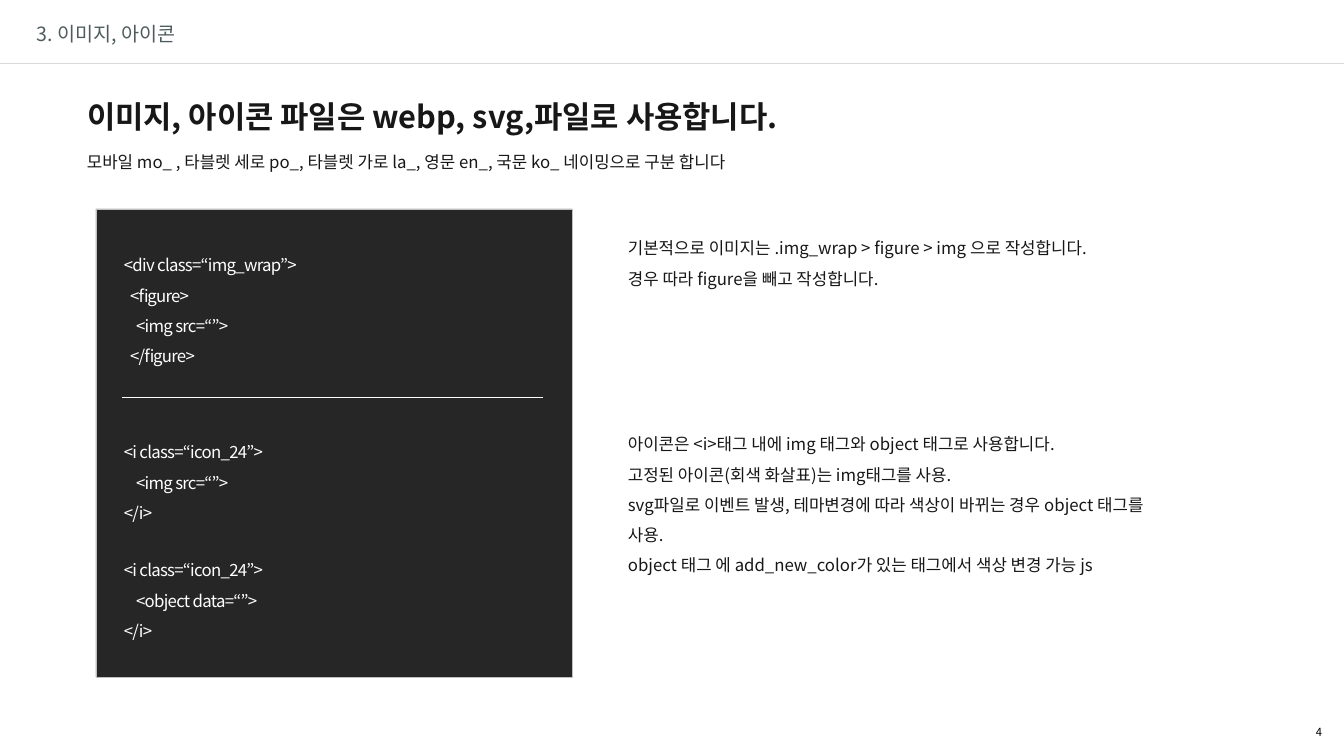
import pptx
import pptx.util
import pptx.dml.color
import pptx.enum.shapes
import pptx.enum.text
import pptx.oxml.ns
import lxml.etree

PX = 914400 / 100.8
FONT = "Noto Sans CJK KR"
INK = "181717"
WHITE = "FFFFFF"
ALIGN = pptx.enum.text.PP_ALIGN
ANCHOR = pptx.enum.text.MSO_ANCHOR
qn = pptx.oxml.ns.qn

FIGURE = """<div class=“img_wrap”>
  <figure>
    <img src=“”>
  </figure>"""
ICON = """<i class=“icon_24”>
    <img src=“”>
</i>"""
OBJECT = """<i class=“icon_24”>
    <object data=“”>
</i>"""
IMAGE_NOTE = ("기본적으로 이미지는 .img_wrap > figure > img 으로 작성합니다.\v"
              "경우 따라 figure을 빼고 작성합니다.")
ICON_NOTE = """아이콘은 <i>태그 내에 img 태그와 object 태그로 사용합니다.
고정된 아이콘(회색 화살표)는 img태그를 사용.
svg파일로 이벤트 발생, 테마변경에 따라 색상이 바뀌는 경우 object 태그를 사용.
object 태그 에 add_new_color가 있는 태그에서 색상 변경 가능 js"""


def emu(*sizes):
    return [pptx.util.Emu(round(n * PX)) for n in sizes]


def rgb(code):
    return pptx.dml.color.RGBColor.from_string(code)


def write(shape, text, size, color, bold=False, gap=None, track=0,
          align=ALIGN.LEFT, anchor=ANCHOR.TOP):
    """Fill a shape with text; track is letter spacing in 1/100 pt."""
    frame = shape.text_frame
    frame.text = text
    frame.word_wrap = True
    frame.auto_size = pptx.enum.text.MSO_AUTO_SIZE.NONE
    frame.vertical_anchor = anchor
    for para in frame.paragraphs:
        para.alignment = align
        para.line_spacing = gap
        font = para.font
        font.name = FONT
        font.size = pptx.util.Pt(size)
        font.bold = bold
        font.color.rgb = rgb(color)
        props = para._p.pPr.find(qn("a:defRPr"))
        props.set("spc", str(track))
        east = lxml.etree.Element(qn("a:ea"), typeface=FONT)
        props.find(qn("a:latin")).addnext(east)


def label(slide, box, text, size, color, **style):
    write(slide.shapes.add_textbox(*emu(*box)), text, size, color, **style)


def rule(slide, left, right, y, color):
    """Draw a thin horizontal line."""
    kind = pptx.enum.shapes.MSO_CONNECTOR.STRAIGHT
    line = slide.shapes.add_connector(kind, *emu(left, y, right, y))
    line.line.color.rgb = rgb(color)
    line.line.width = pptx.util.Pt(0.5)
    lxml.etree.SubElement(line._element.spPr, qn("a:effectLst"))


def panel(slide, box):
    kind = pptx.enum.shapes.MSO_SHAPE.RECTANGLE
    rect = slide.shapes.add_shape(kind, *emu(*box))
    rect.shadow.inherit = False
    rect.fill.solid()
    rect.fill.fore_color.rgb = rgb("262626")
    rect.line.color.rgb = rgb("BFBFBF")
    rect.line.width = pptx.util.Pt(0.25)


def head(slide, box, text):
    title = slide.shapes.title
    title.left, title.top, title.width, title.height = emu(*box)
    write(title, text, 22, INK, bold=True)


def main():
    deck = pptx.Presentation()
    deck.slide_width, deck.slide_height = emu(1344, 756)
    slide = deck.slides.add_slide(deck.slide_layouts[5])

    rule(slide, 0, 1344, 63, "D9D9D9")
    label(slide, (1030, 725, 302, 14), "4", 8, "000000",
          align=ALIGN.RIGHT, anchor=ANCHOR.MIDDLE)
    label(slide, (27, 17, 164, 34), "3. 이미지, 아이콘", 14, "4F5C5D")
    head(slide, (77, 93, 1190, 47),
         "이미지, 아이콘 파일은 webp, svg,파일로 사용합니다.")
    label(slide, (77, 144, 1190, 32),
          "모바일 mo_ , 타블렛 세로 po_, 타블렛 가로 la_, 영문 en_, "
          "국문 ko_ 네이밍으로 구분 합니다",
          12, INK, gap=pptx.util.Pt(16.4))

    panel(slide, (96, 209, 476, 468))
    for top, high, code in ((240, 129, FIGURE), (427, 99, ICON),
                            (545, 99, OBJECT)):
        label(slide, (114, top, 418, high), code, 12, WHITE,
              gap=1.5, track=-50)
    rule(slide, 122, 543, 397, WHITE)

    for top, high, note in ((223, 69, IMAGE_NOTE), (419, 129, ICON_NOTE)):
        label(slide, (618, top, 564, high), note, 12, INK, gap=1.5)
    deck.save("out.pptx")


if __name__ == "__main__":
    main()
